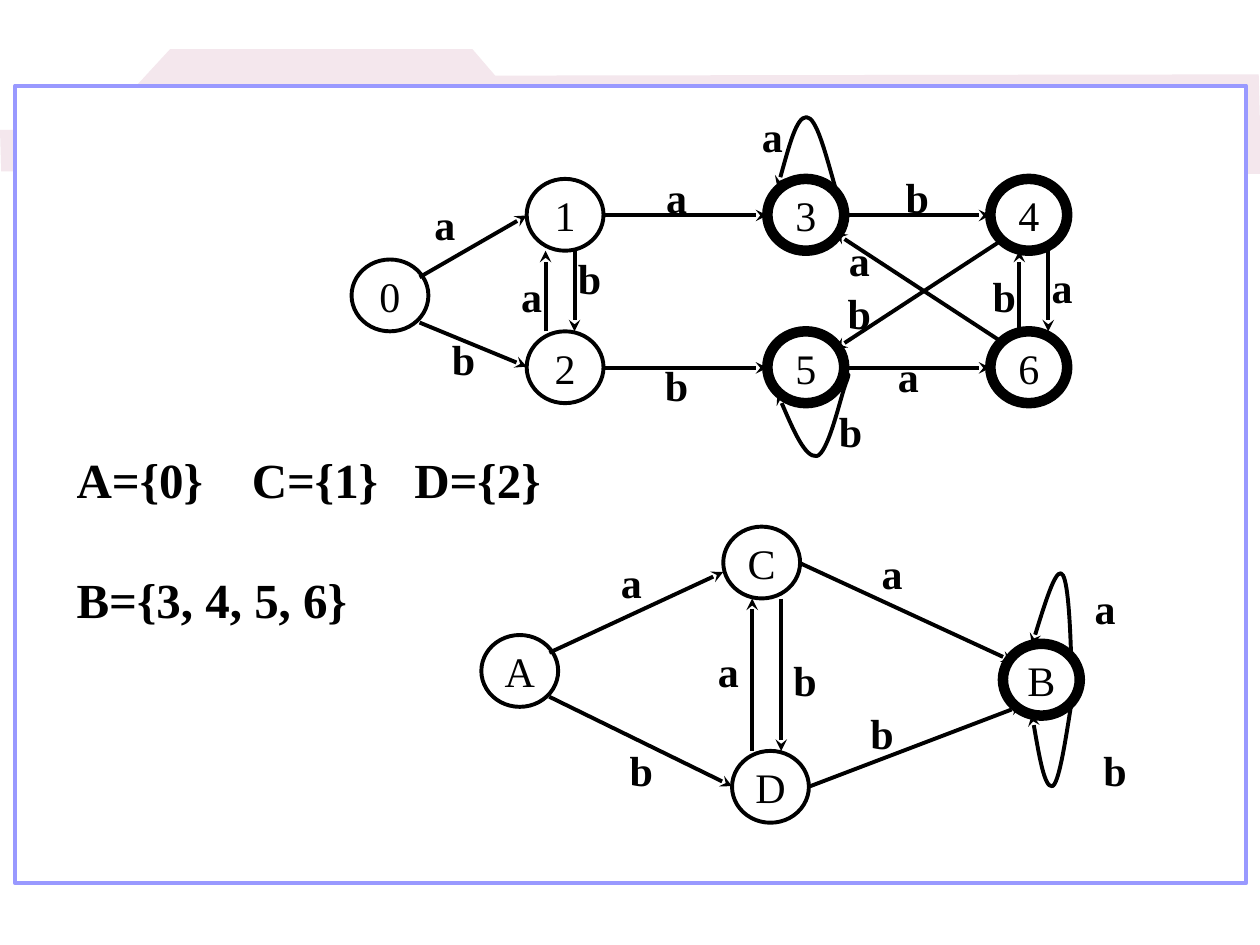
from dataclasses import dataclass
from lxml.etree import SubElement
from pptx import Presentation
from pptx.dml.color import RGBColor
from pptx.enum.shapes import MSO_CONNECTOR, MSO_SHAPE
from pptx.enum.text import MSO_ANCHOR, PP_ALIGN
from pptx.oxml.ns import qn
from pptx.util import Inches, Pt

FONT = "Times New Roman"
BLACK = "000000"
COLS = (4.18, 6.09, 7.86)
ROWS = (1.42, 2.63)
WIDE, HIGH = 0.61, 0.57


@dataclass
class Node:
    name: str
    left: float
    top: float
    final: bool = False


@dataclass
class Edge:
    start: tuple[float, float]
    end: tuple[float, float]


@dataclass
class Tag:
    text: str
    left: float
    top: float


@dataclass
class Loop:
    points: list[tuple[float, float]]


@dataclass
class Graph:
    nodes: list[Node]
    edges: list[Edge]
    tags: list[Tag]
    loops: list[Loop]


FULL = Graph(
    [Node("0", 2.79, 2.06)]
    + [Node(name, COLS[col], ROWS[row], col > 0)
       for row, names in enumerate(("134", "256"))
       for col, name in enumerate(names)],
    [Edge((left + WIDE, top + 0.29), (right, top + 0.29))
     for top in ROWS for left, right in zip(COLS, COLS[1:])]
    + [
        Edge((3.33, 2.2), (4.18, 1.71)),
        Edge((3.33, 2.56), (4.18, 2.91)),
        Edge((4.56, 1.99), (4.56, 2.63)),
        Edge((4.33, 2.63), (4.33, 1.99)),
        Edge((8.09, 2.63), (8.09, 1.99)),
        Edge((8.32, 1.99), (8.32, 2.63)),
        Edge((7.93, 1.92), (6.63, 2.77)),
        Edge((7.93, 2.7), (6.63, 1.85)),
    ],
    [
        Tag("a", 3.26, 1.56), Tag("a", 5.1, 1.35), Tag("b", 7.01, 1.35),
        Tag("b", 3.41, 2.63), Tag("b", 5.1, 2.84), Tag("a", 6.94, 2.77),
        Tag("b", 4.41, 1.99), Tag("a", 3.95, 2.13), Tag("a", 8.16, 2.06),
        Tag("b", 7.7, 2.13), Tag("a", 6.55, 1.85), Tag("b", 6.55, 2.27),
        Tag("a", 5.86, 0.86), Tag("b", 6.48, 3.2),
    ],
    [
        Loop([(6.63, 1.49), (6.55, 1.21), (6.48, 0.93), (6.4, 0.93),
              (6.32, 0.93), (6.25, 1.21), (6.17, 1.49)]),
        Loop([(6.71, 2.98), (6.73, 2.96), (6.75, 2.95), (6.71, 3.05),
              (6.67, 3.16), (6.57, 3.61), (6.48, 3.62),
              (6.39, 3.63), (6.28, 3.38), (6.17, 3.12)]),
    ],
)
SMALL = Graph(
    [Node("A", 3.82, 5.04), Node("C", 5.74, 4.18),
     Node("D", 5.81, 5.96), Node("B", 7.96, 5.11, True)],
    [
        Edge((4.36, 5.18), (5.74, 4.54)),
        Edge((6.35, 4.47), (8.04, 5.25)),
        Edge((4.36, 5.53), (5.81, 6.24)),
        Edge((6.2, 4.75), (6.2, 5.96)),
        Edge((5.97, 5.96), (5.97, 4.75)),
        Edge((6.43, 6.24), (8.11, 5.6)),
    ],
    [
        Tag("a", 4.74, 4.4), Tag("a", 8.5, 4.61), Tag("b", 4.82, 5.89),
        Tag("b", 8.58, 5.89), Tag("b", 6.12, 5.18), Tag("a", 5.51, 5.11),
        Tag("a", 6.81, 4.33), Tag("b", 6.73, 5.6),
    ],
    [
        Loop([(8.5, 5.18), (8.49, 4.87), (8.47, 4.56), (8.42, 4.55),
              (8.37, 4.54), (8.28, 4.83), (8.19, 5.12)]),
        Loop([(8.5, 5.6), (8.45, 5.92), (8.4, 6.23), (8.35, 6.24),
              (8.29, 6.25), (8.24, 5.96), (8.19, 5.67)]),
    ],
)
BAND = [(0, 1.03), (0.76, 1.03), (1.35, 0.39), (3.75, 0.39),
        (3.93, 0.6), (9.99, 0.59), (10.01, 1.38), (0.01, 1.36)]


def paint(part, tint: str) -> None:
    part.solid()
    part.fore_color.rgb = RGBColor.from_string(tint)


def stroke(shape, width: float, tint: str = BLACK) -> None:
    paint(shape.line.fill, tint)
    shape.line.width = Pt(width)


def point(shape) -> None:
    SubElement(shape.line._get_or_add_ln(), qn("a:tailEnd"), type="stealth")


def write(para, text: str, size: float, bold: bool) -> None:
    run = para.add_run()
    run.text = text
    run.font.name, run.font.size, run.font.bold = FONT, Pt(size), bold
    paint(run.font.fill, BLACK)


def label(shape, text: str, bold: bool) -> None:
    frame = shape.text_frame
    frame.word_wrap = False
    frame.vertical_anchor = MSO_ANCHOR.MIDDLE
    para = frame.paragraphs[0]
    para.alignment = PP_ALIGN.CENTER
    write(para, text, 24, bold)


def outline(shapes, points: list[tuple[float, float]], close: bool):
    spots = [(Inches(x), Inches(y)) for x, y in points]
    pen = shapes.build_freeform(*spots[0], scale=1.0)
    pen.add_line_segments(spots[1:], close=close)
    shape = pen.convert_to_shape()
    shape.shadow.inherit = False
    return shape


def draw_node(shapes, node: Node) -> None:
    shape = shapes.add_shape(MSO_SHAPE.OVAL, Inches(node.left), Inches(node.top),
                             Inches(WIDE), Inches(HIGH))
    shape.shadow.inherit = False
    shape.fill.background()
    stroke(shape, 6 if node.final else 2.25)
    label(shape, node.name, False)


def draw_edge(shapes, edge: Edge) -> None:
    ends = [Inches(n) for n in (*edge.start, *edge.end)]
    line = shapes.add_connector(MSO_CONNECTOR.STRAIGHT, *ends)
    stroke(line, 2.25)
    point(line)
    SubElement(line._element.spPr, qn("a:effectLst"))


def draw_tag(shapes, tag: Tag) -> None:
    box = shapes.add_textbox(Inches(tag.left), Inches(tag.top),
                             Inches(0.54), Inches(0.43))
    label(box, tag.text, True)


def draw_loop(shapes, loop: Loop) -> None:
    shape = outline(shapes, loop.points, False)
    shape.fill.background()
    stroke(shape, 2.25)
    point(shape)
    parts = list(shape._element.iter(qn("a:lnTo")))
    track = parts[0].getparent()
    for first in range(0, len(parts), 3):
        curve = SubElement(track, qn("a:cubicBezTo"))
        for part in parts[first:first + 3]:
            curve.append(part[0])
            track.remove(part)


def draw_graph(slide, graph: Graph) -> None:
    shapes = slide.shapes.add_group_shape().shapes
    for items, draw in ((graph.nodes, draw_node), (graph.edges, draw_edge),
                        (graph.tags, draw_tag), (graph.loops, draw_loop)):
        for item in items:
            draw(shapes, item)


def draw_back(slide) -> None:
    band = outline(slide.shapes, BAND, True)
    paint(band.fill, "F4E7ED")
    band.line.fill.background()
    panel = slide.shapes.add_shape(MSO_SHAPE.RECTANGLE, Inches(0.12), Inches(0.68),
                                   Inches(9.77), Inches(6.33))
    panel.shadow.inherit = False
    paint(panel.fill, "FFFFFF")
    stroke(panel, 2.25, "9999FF")


def draw_sets(slide) -> None:
    box = slide.shapes.add_textbox(Inches(0.51), Inches(3.52), Inches(3.94), Inches(1.04))
    frame = box.text_frame
    frame.word_wrap = True
    top = frame.paragraphs[0]
    write(top, "A={0}\tC={1}\tD={2}", 28, True)
    stops = SubElement(top._p.get_or_add_pPr(), qn("a:tabLst"))
    for stop in (1.39, 2.68):
        SubElement(stops, qn("a:tab"), pos=str(Inches(stop)), algn="l")
    low = frame.add_paragraph()
    low.space_before = Pt(35)
    write(low, "B={3, 4, 5, 6}", 28, True)


def main() -> None:
    """Build the slide of a state graph and its reduced form."""
    deck = Presentation()
    deck.slide_width, deck.slide_height = Inches(10), Inches(7.5)
    slide = deck.slides.add_slide(deck.slide_layouts[6])
    draw_back(slide)
    for graph in (FULL, SMALL):
        draw_graph(slide, graph)
    draw_sets(slide)
    deck.save("out.pptx")


if __name__ == "__main__":
    main()
